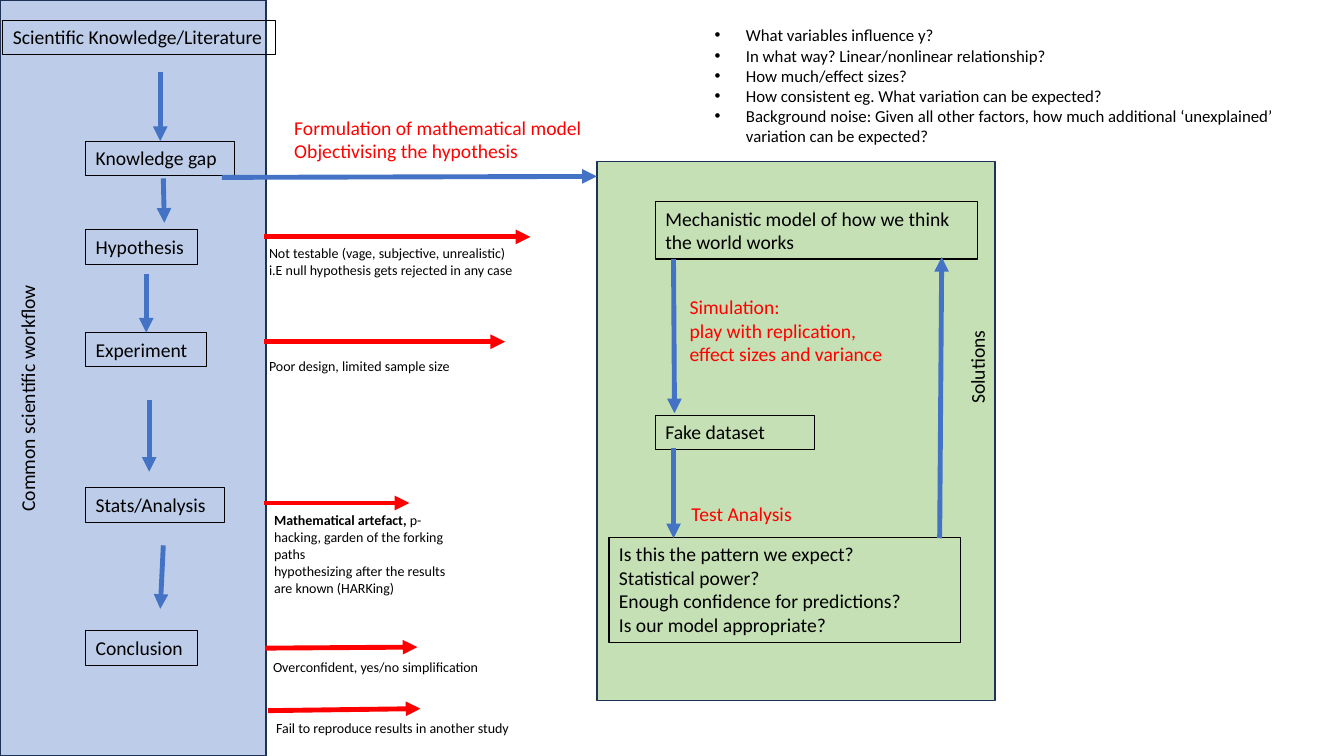
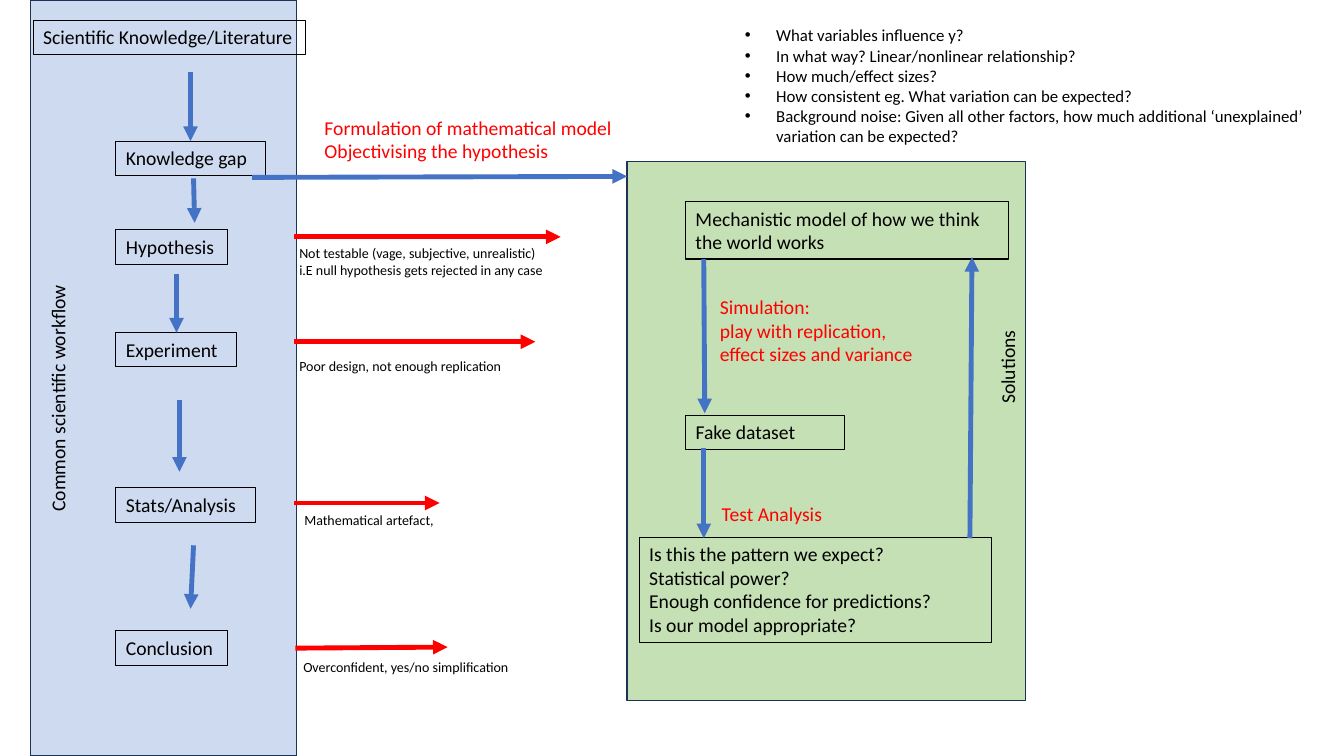
from lxml import etree
from pptx import Presentation
from pptx.dml.color import RGBColor
from pptx.enum.shapes import MSO_CONNECTOR, MSO_SHAPE
from pptx.oxml.ns import qn
from pptx.util import Inches, Pt

RECT = MSO_SHAPE.RECTANGLE
LINE = MSO_CONNECTOR.STRAIGHT
FONT = "Calibri"
BLACK, RED, BLUE = "000000", "FF0000", "4472C4"
BAND, PANEL, EDGE = "B4C7E7", "C5E0B4", "1E3256"
ROW = 0.34   # height of a one-line 14 pt box
STEP = 0.85  # left edge of the workflow steps

# Framed boxes: name, (left, top, width, height), paragraphs
BOXES = [
    ("source", (0.03, 0.2, 2.7, ROW), ["Scientific Knowledge/Literature"]),
    ("gap", (STEP, 1.4, 1.48, ROW), ["Knowledge gap"]),
    ("hypothesis", (STEP, 2.28, 1.11, ROW), ["Hypothesis"]),
    ("experiment", (STEP, 3.3, 1.2, ROW), ["Experiment"]),
    ("stats", (STEP, 4.84, 1.38, ROW), ["Stats/Analysis"]),
    ("conclusion", (STEP, 6.26, 1.11, ROW), ["Conclusion"]),
    ("model", (6.5, 2, 3.2, 0.57),
     ["Mechanistic model of how we think the world works"]),
    ("dataset", (6.5, 4.12, 1.58, ROW), ["Fake dataset"]),
    ("questions", (6.04, 5.33, 3.49, 1.04),
     ["Is this the pattern we expect?", "Statistical power?",
      "Enough confidence for predictions?", "Is our model appropriate?"]),
]

# Free labels: place, paragraphs, format
LABELS = [
    ((2.82, 1.1, 3.2, 0.57),
     ["Formulation of mathematical model", "Objectivising the hypothesis"],
     {"color": RED}),
    ((6.74, 2.88, 2.11, 1.04),
     ["Simulation:", "play with replication, effect sizes and variance"],
     {"color": RED}),
    ((6.76, 4.93, 1.32, ROW), ["Test Analysis"], {"color": RED}),
    ((-1.65, 3.08, 3.85, ROW), ["Common scientific workflow"], {"turn": 270}),
    ((8.54, 2.78, 2.31, ROW), ["Solutions"], {"turn": 270}),
    ((6.99, 0.2, 5.8, 1.51),
     ["What variables influence y?",
      "In what way? Linear/nonlinear relationship?",
      "How much/effect sizes?",
      "How consistent eg. What variation can be expected?",
      "Background noise: Given all other factors, how much additional "
      "‘unexplained’ variation can be expected?"],
     {"size": 12, "bullet": True}),
]

# Blue arrows: from, to, box whose top side the arrow joins
FLOW = [
    ((1.59, 0.71), (1.59, 1.4), "gap"),
    ((1.62, 1.77), (1.63, 2.21), None),
    ((1.45, 2.72), (1.45, 3.3), "experiment"),
    ((1.48, 3.97), (1.48, 4.68), None),
    ((1.62, 5.41), (1.59, 6.04), None),
    ((2.2, 1.76), (5.92, 1.75), None),
    ((6.68, 2.57), (6.69, 4.1), None),
    ((6.68, 4.44), (6.68, 5.34), None),
    ((9.32, 5.34), (9.34, 2.55), None),
]

# Pitfalls: red arrow from, to, note place, paragraphs
VAGUE = ((2.62, 2.35), (5.26, 2.35), (2.57, 2.38, 2.7, 0.44),
         ["Not testable (vage, subjective, unrealistic)",
          "i.E null hypothesis gets rejected in any case"])
HASTY = ((2.63, 6.43), (4.14, 6.42), (2.61, 6.48, 2.53, 0.27),
         ["Overconfident, yes/no simplification"])
FAILED = ((2.66, 7.05), (4.17, 7.03), (2.64, 7.09, 2.6, 0.27),
          ["Fail to reproduce results in another study"])


def design(note):
    return (2.62, 3.39), (5.01, 3.39), (2.57, 3.5, 2.57, 0.27), [note]


def artefact(high, *paras):
    return (2.62, 4.99), (4.06, 4.99), (2.62, 5.03, 2.05, high), paras


# A tuple as paragraph holds a bold start and a plain rest
SLIDES = [
    {"shift": 0, "alpha": 88, "pitfalls": [
        VAGUE, design("Poor design, limited sample size"),
        artefact(0.94,
                 ("Mathematical artefact,",
                  " p-hacking, garden of the forking paths"),
                 "hypothesizing after the results are known (HARKing)"),
        HASTY, FAILED]},
    {"shift": 0.3, "alpha": 65, "pitfalls": [
        VAGUE, design("Poor design, not enough replication"),
        artefact(0.27, "Mathematical artefact,"), HASTY]},
]


def rgb(code):
    return RGBColor.from_string(code)


def area(at, shift):
    left, top, wide, high = at
    return [Inches(v) for v in (left + shift, top, wide, high)]


def add_area(slide, at, shift, fill, alpha=100):
    shape = slide.shapes.add_shape(RECT, *area(at, shift))
    shape.shadow.inherit = False
    shape.fill.solid()
    shape.fill.fore_color.rgb = rgb(fill)
    shape.line.color.rgb = rgb(EDGE)
    shape.line.width = Pt(1)
    if alpha < 100:
        color = shape.fill._xPr.find(".//" + qn("a:srgbClr"))
        etree.SubElement(color, qn("a:alpha"), val=str(alpha * 1000))


def add_text(slide, at, paras, shift=0, size=14, color=BLACK, turn=0,
             frame=False, bullet=False):
    box = slide.shapes.add_textbox(*area(at, shift))
    box.rotation = turn
    if frame:
        box.line.color.rgb = rgb(BLACK)
        box.line.width = Pt(0.75)
    body = box.text_frame
    body.word_wrap = True
    for i, text in enumerate(paras):
        para = body.add_paragraph() if i else body.paragraphs[0]
        parts = ("", text) if isinstance(text, str) else text
        for part, bold in zip(parts, (True, False)):
            if part:
                run = para.add_run()
                run.text = part
                run.font.name = FONT
                run.font.size = Pt(size)
                run.font.bold = bold
                run.font.color.rgb = rgb(color)
        if bullet:
            props = para._p.get_or_add_pPr()
            props.set("marL", str(Inches(0.31)))
            props.set("indent", str(-Inches(0.31)))
            etree.SubElement(props, qn("a:buFont"), typeface="Arial")
            etree.SubElement(props, qn("a:buChar"), char="•")
    return box


def add_arrow(slide, start, end, shift, color, goal=None):
    (x1, y1), (x2, y2) = start, end
    arrow = slide.shapes.add_connector(
        LINE, Inches(x1 + shift), Inches(y1), Inches(x2 + shift), Inches(y2))
    if goal is not None:
        arrow.end_connect(goal, 0)
    arrow.line.color.rgb = rgb(color)
    arrow.line.width = Pt(3.5)
    props = arrow._element.spPr
    etree.SubElement(props.find(qn("a:ln")), qn("a:tailEnd"), type="triangle")
    etree.SubElement(props, qn("a:effectLst"))


def build(slide, shift, alpha, pitfalls):
    add_area(slide, (5.92, 1.6, 3.95, 5.35), shift, PANEL)
    add_area(slide, (0, 0, 2.64, 7.5), shift, BAND, alpha)
    boxes = {name: add_text(slide, at, paras, shift, frame=True)
             for name, at, paras in BOXES}
    for at, paras, look in LABELS:
        add_text(slide, at, paras, shift, **look)
    for start, end, goal in FLOW:
        add_arrow(slide, start, end, shift, BLUE, boxes.get(goal))
    for start, end, at, paras in pitfalls:
        add_arrow(slide, start, end, shift, RED)
        add_text(slide, at, paras, shift, size=10)


def main():
    deck = Presentation()
    deck.slide_width, deck.slide_height = Inches(13.33), Inches(7.5)
    for data in SLIDES:
        build(deck.slides.add_slide(deck.slide_layouts[6]), **data)
    deck.save("out.pptx")


if __name__ == "__main__":
    main()
